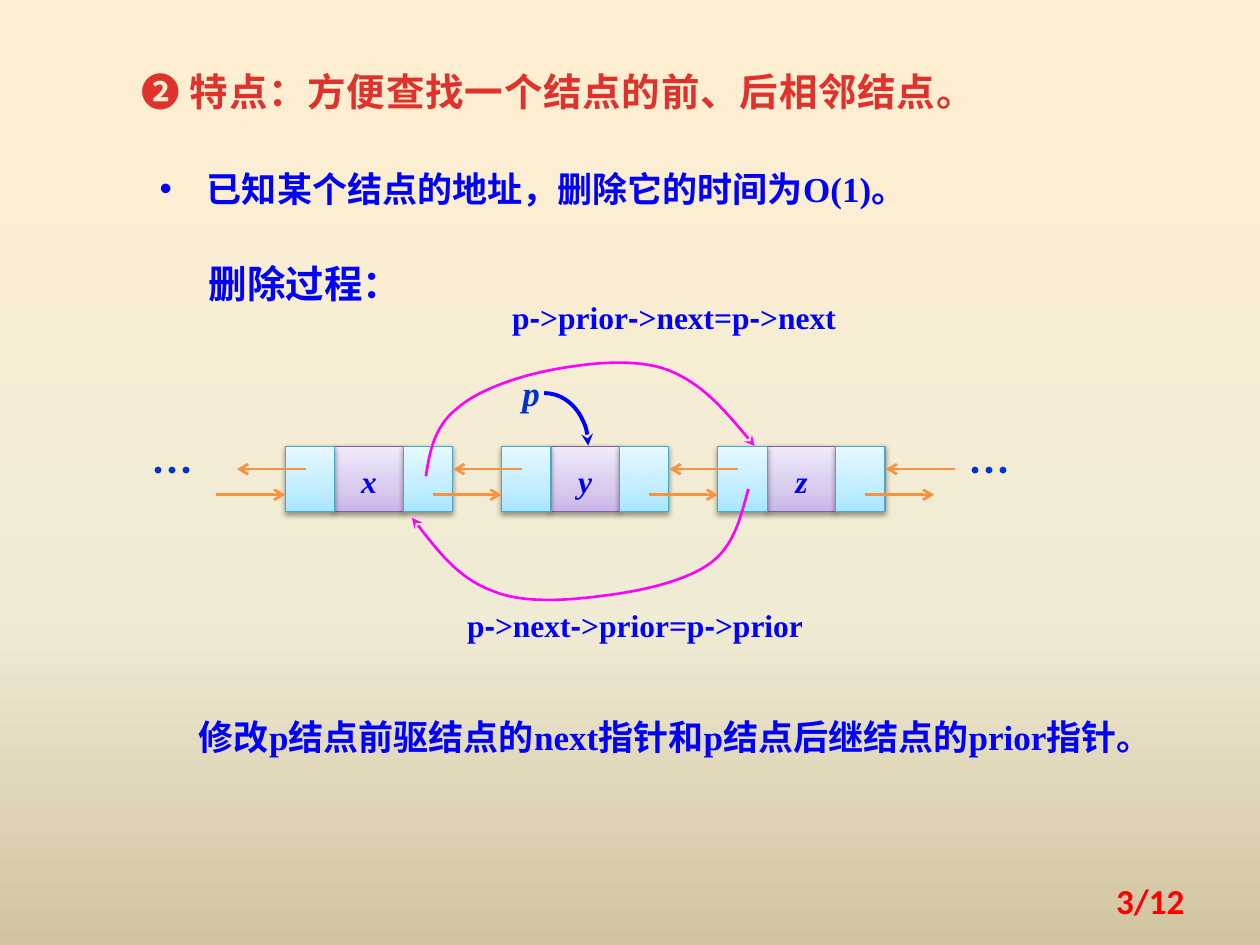
from copy import deepcopy
from itertools import groupby

from lxml import etree
from pptx import Presentation
from pptx.dml.color import RGBColor
from pptx.enum import shapes, text
from pptx.oxml.ns import qn
from pptx.util import Pt

BLUE, DARK_BLUE, ORANGE, MAGENTA = "0000FF", "0033CC", "F69240", "FF00FF"
SERIF, CJK = "Times New Roman", "Noto Sans CJK SC"
LEFT, CENTER, RIGHT = text.PP_ALIGN.LEFT, text.PP_ALIGN.CENTER, text.PP_ALIGN.RIGHT


def paint(fill, *colors, positions=(0, 0.35, 1), angle=90):
    """Fill with one colour, or with a gradient of several."""
    if len(colors) == 1:
        fill.solid()
        fill.fore_color.rgb = RGBColor.from_string(colors[0])
        return
    fill.gradient()
    fill.gradient_angle = angle
    last = fill.gradient_stops[-1]._gs
    for _ in colors[2:]:
        last.addnext(deepcopy(last))
    for stop, color, position in zip(fill.gradient_stops, colors, positions):
        stop.color.rgb = RGBColor.from_string(color)
        stop.position = position


def write(shape, content, size=20, font=SERIF, colors=(BLUE,), italic=False,
          align=LEFT, anchor=text.MSO_ANCHOR.TOP, spacing=1.1, bullet=None):
    """Write one paragraph; hyphens are set in Arial."""
    frame = shape.text_frame
    frame.word_wrap = True
    frame.auto_size = text.MSO_AUTO_SIZE.NONE
    frame.vertical_anchor = anchor
    paragraph = frame.paragraphs[0]
    paragraph.alignment = align
    paragraph.line_spacing = spacing
    paragraph.space_before = Pt(0)
    if bullet:
        properties = paragraph._p.get_or_add_pPr()
        properties.set("marL", str(Pt(27)))
        properties.set("indent", str(Pt(-27)))
        etree.SubElement(properties, qn("a:buFont")).set("typeface", "Arial")
        etree.SubElement(properties, qn("a:buChar")).set("char", bullet)
    for is_hyphen, letters in groupby(content, lambda letter: letter == "-"):
        run = paragraph.add_run()
        run.text = "".join(letters)
        run.font.size, run.font.bold, run.font.italic = Pt(size), True, italic
        run.font.name = "Arial" if is_hyphen else font
        etree.SubElement(run._r.get_or_add_rPr(), qn("a:ea")).set("typeface", CJK)
        paint(run.font.fill, *colors, positions=(0.25, 1), angle=270)


presentation = Presentation()
presentation.slide_width, presentation.slide_height = Pt(720), Pt(540)
slide = presentation.slides.add_slide(presentation.slide_layouts[5])
paint(slide.background.fill, "FFEFD1", "F0EBD5", "D1C39F",
      positions=(0, 0.65, 1), angle=270)

# Title
title = slide.shapes.title
title.left, title.top, title.width, title.height = Pt(73.4), Pt(32.4), Pt(506), Pt(36.7)
write(title, "❷ 特点：方便查找一个结点的前、后相邻结点。", size=22,
      colors=("E0322D", "A2201C"))
title.text_frame.paragraphs[0].runs[0]._r.rPr.set("spc", "50")

# Linked nodes: data cell between two pointer cells
NODE_LEFT, NODE_TOP, NODE_HEIGHT, PITCH = 163, 255, 37.4, 123.6
POINTER_WIDTH, DATA_WIDTH = 28.2, 39.2
violet = ("C9B5E8", "D8CBEE", "F0EAF9")
cyan = ("A7E6FF", "C1EDFF", "E7F8FF")
for index, name in enumerate("xyz"):
    left = NODE_LEFT + index * PITCH
    for offset, width, colors, border, label in (
            (POINTER_WIDTH, DATA_WIDTH, violet, "7D60A0", name),
            (POINTER_WIDTH + DATA_WIDTH, POINTER_WIDTH, cyan, "46AAC5", ""),
            (0, POINTER_WIDTH, cyan, "46AAC5", "")):
        cell = slide.shapes.add_shape(shapes.MSO_SHAPE.RECTANGLE, Pt(left + offset),
                                      Pt(NODE_TOP), Pt(width), Pt(NODE_HEIGHT))
        paint(cell.fill, *colors)
        paint(cell.line.fill, border)
        cell.line.width = Pt(0.75)
        cell.shadow.inherit = False
        shadow = etree.SubElement(cell._element.spPr.find(qn("a:effectLst")),
                                  qn("a:outerShdw"), blurRad=str(Pt(3.1)),
                                  dist=str(Pt(1.6)), dir="5400000", rotWithShape="0")
        shade = etree.SubElement(shadow, qn("a:srgbClr"), val="000000")
        etree.SubElement(shade, qn("a:alpha"), val="38000")
        if label:
            write(cell, label, size=18, italic=True, align=CENTER,
                  anchor=text.MSO_ANCHOR.MIDDLE)

# Next and prior links between neighbours
LINK_LENGTH = 39.4
arrows = []
for index in range(4):
    next_start = NODE_LEFT - LINK_LENGTH + index * PITCH
    prior_start = 174.8 + index * PITCH
    for start, end, top in ((next_start, next_start + LINK_LENGTH, 282.7),
                            (prior_start, prior_start - LINK_LENGTH, 268.1)):
        link = slide.shapes.add_connector(shapes.MSO_CONNECTOR.STRAIGHT,
                                          Pt(start), Pt(top), Pt(end), Pt(top))
        arrows.append((link, ORANGE, 1.5, "arrow"))

# Pointer p
arc = slide.shapes.add_shape(shapes.MSO_SHAPE.ARC, Pt(285.8), Pt(224.6), Pt(50.4), Pt(60))
arc.fill.background()
arrows.append((arc, BLUE, 2.25, "stealth"))

# New links around y: start point, then three points for each Bézier piece
new_next = [(3.38, 3.78), (3.41, 3.58), (3.45, 3.38), (3.63, 3.24), (3.8, 3.09),
            (4.13, 2.98), (4.41, 2.93), (4.69, 2.88), (5.05, 2.84), (5.31, 2.94),
            (5.58, 3.05), (5.78, 3.29), (5.99, 3.54)]
new_prior = [(5.94, 3.88), (5.88, 4.1), (5.83, 4.32), (5.65, 4.46), (5.47, 4.6),
             (5.14, 4.68), (4.85, 4.72), (4.56, 4.76), (4.17, 4.8), (3.91, 4.69),
             (3.64, 4.59), (3.46, 4.35), (3.27, 4.11)]
for points in (new_next, new_prior):
    points = [(Pt(72 * x), Pt(72 * y)) for x, y in points]
    builder = slide.shapes.build_freeform(*points[0])
    builder.add_line_segments(points[1:], close=False)
    curve = builder.convert_to_shape()
    outline = curve._element.spPr.find(".//" + qn("a:path"))
    segments = outline.findall(qn("a:lnTo"))
    for first in range(0, len(segments), 3):
        bezier = etree.SubElement(outline, qn("a:cubicBezTo"))
        for segment in segments[first:first + 3]:
            bezier.append(segment[0])
            outline.remove(segment)
    curve.fill.background()
    arrows.append((curve, MAGENTA, 1.5, "stealth"))

# Line format and arrowheads
for shape, color, width, head in arrows:
    paint(shape.line.fill, color)
    shape.line.width = Pt(width)
    etree.SubElement(shape.line._get_or_add_ln(), qn("a:tailEnd"), type=head)
    if shape.shape_type == shapes.MSO_SHAPE_TYPE.LINE:
        etree.SubElement(shape._element.spPr, qn("a:effectLst"))
    else:
        shape.shadow.inherit = False

# Texts: left, top, width, height, content, format
code = dict(size=18, align=CENTER)
dots = dict(size=24, font=CJK, colors=(DARK_BLUE,), align=CENTER)
for left, top, width, height, content, style in (
        (84.2, 90, 449, 34, "已知某个结点的地址，删除它的时间为O(1)。", dict(bullet="•")),
        (112.3, 142.6, 135.4, 34, "删除过程：", dict(size=22)),
        (540, 247.7, 50.4, 39.6, "…", dots),
        (73.4, 247.7, 50.4, 39.6, "…", dots),
        (270, 164.9, 230.4, 31, "p->prior->next=p->next", code),
        (247.7, 340.6, 230.4, 31, "p->next->prior=p->prior", code),
        (106.6, 403.2, 540, 34,
         "修改p结点前驱结点的next指针和p结点后继结点的prior指针。", {}),
        (516.2, 500.4, 167.8, 28.8, "3/12",
         dict(font="Calibri", colors=("FF0000",), align=RIGHT, spacing=1,
              anchor=text.MSO_ANCHOR.MIDDLE))):
    box = slide.shapes.add_textbox(Pt(left), Pt(top), Pt(width), Pt(height))
    write(box, content, **style)

# Label of pointer p, without insets
label = slide.shapes.add_textbox(Pt(292.3), Pt(210.2), Pt(22.3), Pt(26.6))
frame = label.text_frame
frame.margin_left = frame.margin_top = frame.margin_right = frame.margin_bottom = 0
write(label, "p", colors=(DARK_BLUE,), italic=True, align=CENTER)

presentation.save("out.pptx")
